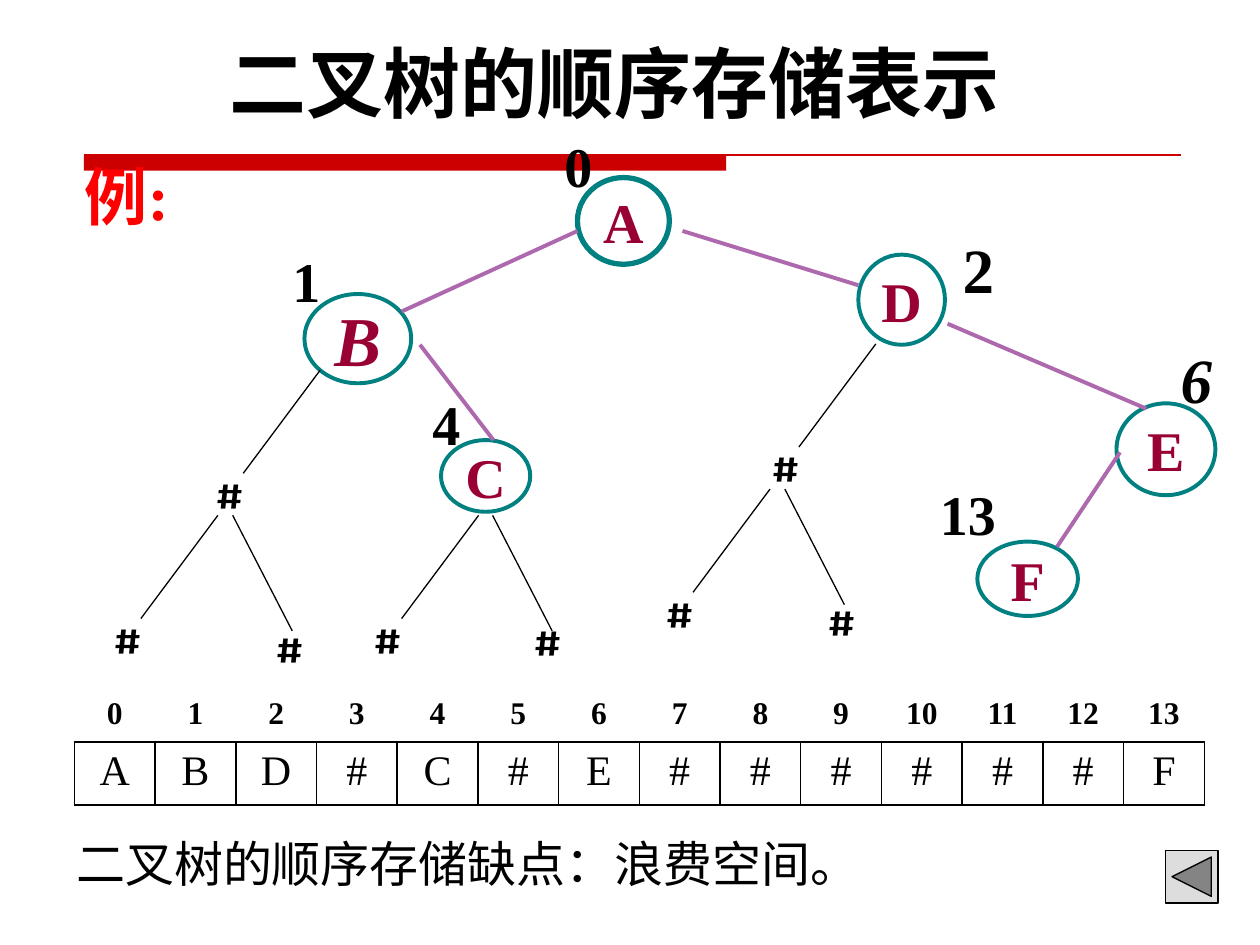
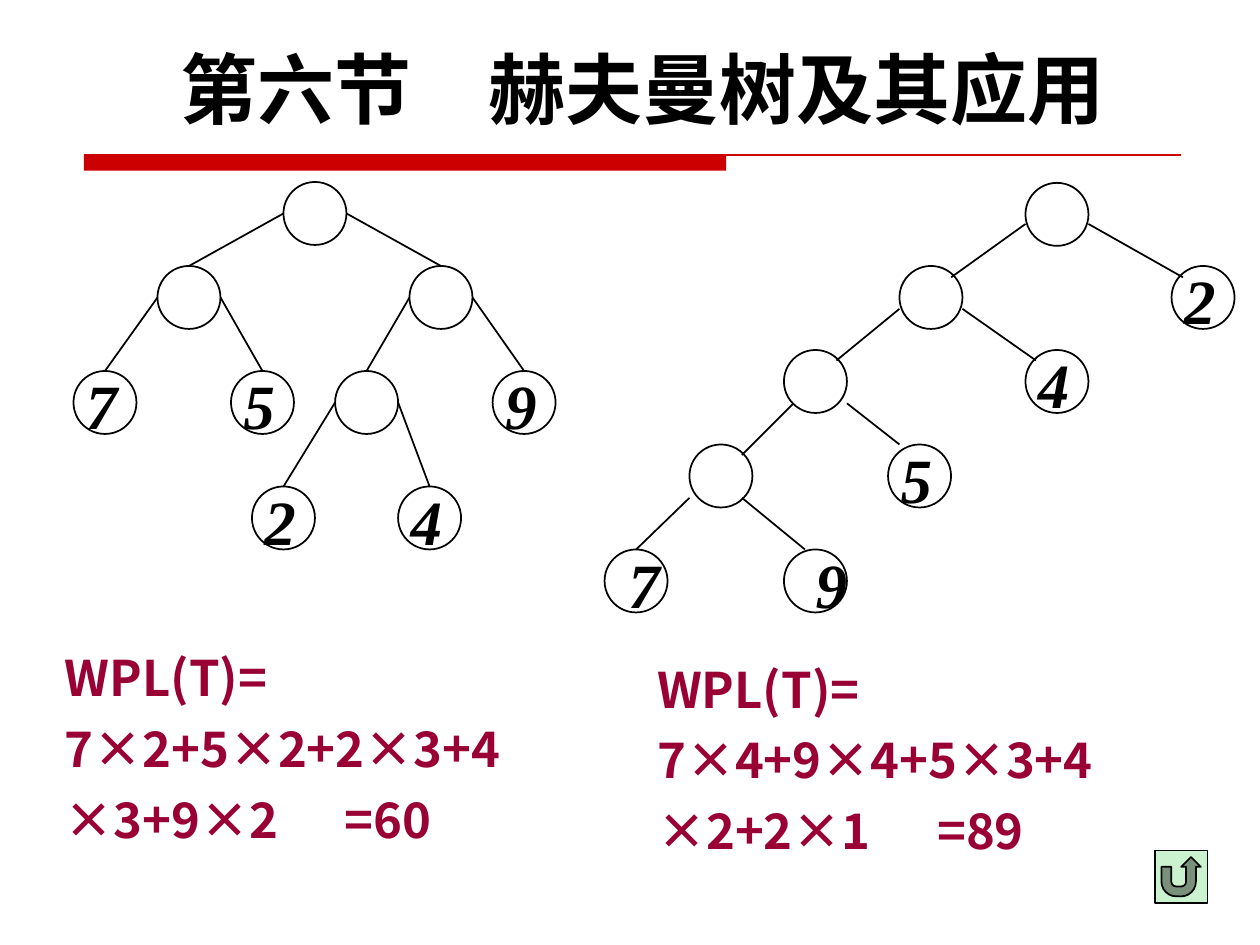
"""Build two slides on binary tree storage and Huffman trees."""
import dataclasses
import typing

import pptx
import pptx.dml.color
import pptx.enum.shapes
import pptx.enum.text
import pptx.oxml.ns
import pptx.slide
import pptx.table
import pptx.text.text
import pptx.util
from lxml import etree

Pt = pptx.util.Pt
Shape = pptx.enum.shapes.MSO_SHAPE
Align = pptx.enum.text.PP_ALIGN
Anchor = pptx.enum.text.MSO_ANCHOR
qn = pptx.oxml.ns.qn

BLACK, WHITE, RED, BAND = "000000", "FFFFFF", "FF0000", "CC0000"
TEAL, PURPLE, CRIMSON = "008080", "AE68AE", "990033"
SERIF, TITLE_FONT, CHINESE = "Times New Roman", "Karla", "Noto Sans CJK SC"


@dataclasses.dataclass(frozen=True)
class Style:
    size: float
    font: str = SERIF
    ink: str = BLACK
    bold: bool = True
    italic: bool = False
    align: Align = Align.LEFT
    spacing: float = 1.0
    tab: float = 0


class Box(typing.NamedTuple):
    left: float
    top: float
    width: float
    height: float


class Label(typing.NamedTuple):
    text: str
    box: Box
    style: Style


class TreeNode(typing.NamedTuple):
    letter: str
    box: Box
    size: float = 32
    outline: float = 2.25
    italic: bool = False


class Weight(typing.NamedTuple):
    left: float
    top: float
    value: str = ""
    shift: float = 0


class Edge(typing.NamedTuple):
    x1: float
    y1: float
    x2: float
    y2: float


INDEX = Style(32)
LARGE_INDEX = Style(36)
LEAF_VALUE = Style(36, italic=True)
EMPTY = Style(24, TITLE_FONT)
FORMULA = Style(28, CHINESE, CRIMSON, spacing=1.2, tab=160)
TITLE = Style(44, TITLE_FONT, align=Align.CENTER)

NODES = [
    TreeNode("A", Box(330, 101.5, 52.5, 49.5), outline=3),
    TreeNode("B", Box(174, 168, 61, 51), size=40, italic=True),
    TreeNode("C", Box(252, 251.5, 51, 41)),
    TreeNode("D", Box(490.5, 145.5, 49.5, 51.5)),
    TreeNode("E", Box(638, 230.5, 56.5, 52.5)),
    TreeNode("F", Box(558.5, 309.5, 57.5, 42.5)),
]
INDEXES = [
    Label("0", Box(315.5, 71.5, 31, 46), INDEX),
    Label("1", Box(160, 137.5, 31, 46), INDEX),
    Label("4", Box(240, 219, 31, 46), INDEX),
    Label("13", Box(530, 270.5, 47, 46), INDEX),
    Label("2", Box(543, 128, 32, 50), LARGE_INDEX),
    Label("6", Box(667.5, 191, 32, 50), LEAF_VALUE),
]
TREE_EDGES = [
    Edge(330, 132, 229.5, 178), Edge(240, 197, 282, 251.5),
    Edge(390, 132, 490.5, 163), Edge(541.5, 185, 655, 233.5),
    Edge(640, 258.5, 604, 312.5),
]
LEFT_BRANCHES = [(183, 211.5), (500.5, 196.5), (124.5, 294.5), (440, 279.5), (273.5, 294.5)]
RIGHT_BRANCHES = [(133, 294.5), (448.5, 279.5), (281.5, 294.5)]
EMPTY_NODES = [
    (116, 264), (433.5, 249), (58, 347), (150.5, 352),
    (373, 332), (466, 337), (206.5, 347), (297.5, 348),
]
STORAGE = "ABD#C#E######F"

OPTIMAL_TREE = [
    Weight(162, 104), Weight(90, 152), Weight(234, 152),
    Weight(42, 212, "7"), Weight(132, 212, "5"), Weight(191.5, 212),
    Weight(281.5, 212, "9"), Weight(144, 278, "2"), Weight(227.5, 278, "4"),
]
OPTIMAL_CHILDREN = {0: (1, 2), 1: (3, 4), 2: (5, 6), 5: (7, 8)}
SKEWED_TREE = [
    Weight(586, 104.5), Weight(514, 152), Weight(669.5, 152, "2"),
    Weight(448, 200), Weight(586, 200, "4"), Weight(394, 254),
    Weight(507.5, 254, "5"), Weight(345.5, 314, "7", 6.5), Weight(448, 314, "9", 11),
]
SKEWED_EDGES = [
    Edge(622, 128, 676, 158.5), Edge(586, 128, 543.5, 158.5),
    Edge(550, 176.5, 592, 206), Edge(514, 176.5, 478, 206),
    Edge(484, 230.5, 514, 254), Edge(453.5, 230.5, 424, 260),
    Edge(394, 284.5, 363.5, 314), Edge(424, 284.5, 460, 314),
]
DIAMETER = 36


def color(value: str) -> pptx.dml.color.RGBColor:
    """Turn a hex string into a colour."""
    return pptx.dml.color.RGBColor.from_string(value)


def points(values: typing.Iterable[float]) -> list[pptx.util.Length]:
    """Turn numbers into lengths in points."""
    return [Pt(value) for value in values]


def write(para: pptx.text.text._Paragraph, text: str, style: Style) -> None:
    """Fill a paragraph with styled text."""
    para.text = text
    para.alignment = style.align
    para.line_spacing = style.spacing
    para.space_before = Pt(0)
    properties = para._p.get_or_add_pPr()
    if style.tab:
        stops = etree.SubElement(properties, qn("a:tabLst"))
        etree.SubElement(stops, qn("a:tab"), pos=str(Pt(style.tab)), algn="l")
    font = para.font
    font.size, font.bold, font.italic = Pt(style.size), style.bold, style.italic
    font.name = style.font
    font.color.rgb = color(style.ink)
    etree.SubElement(properties.find(qn("a:defRPr")), qn("a:ea"), typeface=CHINESE)


def add_label(page: pptx.slide.Slide, label: Label, wrap: bool = False) -> None:
    """Place a text box."""
    frame = page.shapes.add_textbox(*points(label.box)).text_frame
    frame.word_wrap = wrap
    write(frame.paragraphs[0], label.text, label.style)


def add_shape(page: pptx.slide.Slide, kind: Shape, box: Box, fill: str = "",
              outline: str = "", width: float = 1):
    """Place a preset shape with an optional fill and outline."""
    shape = page.shapes.add_shape(kind, *points(box))
    shape.shadow.inherit = False
    if fill:
        shape.fill.solid()
        shape.fill.fore_color.rgb = color(fill)
    else:
        shape.fill.background()
    if outline:
        shape.line.color.rgb = color(outline)
        shape.line.width = Pt(width)
    else:
        shape.line.fill.background()
    return shape


def add_edge(page: pptx.slide.Slide, edge: Edge, ink: str = BLACK, width: float = 1):
    """Draw a straight line."""
    straight = pptx.enum.shapes.MSO_CONNECTOR.STRAIGHT
    line = page.shapes.add_connector(straight, *points(edge))
    line.line.color.rgb = color(ink)
    line.line.width = Pt(width)
    etree.SubElement(line.element.spPr, qn("a:effectLst"))
    return line


def add_band(page: pptx.slide.Slide) -> None:
    """Draw the title band and hand it to the layout of the page."""
    band = add_shape(page, Shape.RECTANGLE, Box(48, 88.5, 367, 9), BAND)
    rule = add_edge(page, Edge(48, 88.5, 675, 88.5), BAND, 0.75)
    for part in (band, rule):
        page.slide_layout.shapes.element.append(part.element)


def set_title(page: pptx.slide.Slide, text: str, box: Box, style: Style = TITLE) -> None:
    """Move and format the title placeholder."""
    title = page.shapes.title
    title.left, title.top, title.width, title.height = points(box)
    frame = title.text_frame
    frame.auto_size = pptx.enum.text.MSO_AUTO_SIZE.NONE
    frame.vertical_anchor = Anchor.TOP
    write(frame.paragraphs[0], text, style)


def add_node(page: pptx.slide.Slide, node: TreeNode) -> None:
    """Draw a lettered tree node."""
    frame = add_shape(page, Shape.OVAL, node.box, WHITE, TEAL, node.outline).text_frame
    frame.word_wrap = False
    frame.vertical_anchor = Anchor.MIDDLE
    style = Style(node.size, ink=CRIMSON, italic=node.italic, align=Align.CENTER)
    write(frame.paragraphs[0], node.letter, style)


def add_weights(page: pptx.slide.Slide, weights: list[Weight]) -> None:
    """Draw the circles of a weighted tree and their values."""
    for weight in weights:
        circle = Box(weight.left, weight.top, DIAMETER, DIAMETER)
        add_shape(page, Shape.OVAL, circle, outline=BLACK)
        if weight.value:
            box = Box(weight.left + weight.shift, weight.top - 6, 32, 50)
            add_label(page, Label(weight.value, box, LEAF_VALUE))


def format_cell(cell: pptx.table._Cell, text: str, style: Style, sides: str) -> None:
    """Write a cell and rule the given sides."""
    for side in sides:
        line = etree.SubElement(cell._tc.get_or_add_tcPr(), qn(f"a:ln{side}"), w=str(Pt(1)))
        fill = etree.SubElement(line, qn("a:solidFill"))
        etree.SubElement(fill, qn("a:srgbClr"), val=BLACK)
    cell.fill.solid()
    cell.fill.fore_color.rgb = color(WHITE)
    write(cell.text_frame.paragraphs[0], text, style)


def add_storage(page: pptx.slide.Slide) -> None:
    """Add the table of array indexes and stored letters."""
    count = len(STORAGE)
    table = page.shapes.add_table(2, count, *points(Box(42.5, 394.5, 646, 65.5))).table
    table.first_row = table.horz_banding = False
    table.rows[0].height, table.rows[1].height = points((29.5, 36))
    index_style = Style(18, align=Align.CENTER)
    letter_style = Style(24, bold=False, align=Align.CENTER)
    for column, letter in enumerate(STORAGE):
        table.columns[column].width = Pt(646 / count)
        format_cell(table.cell(0, column), str(column), index_style, "B")
        format_cell(table.cell(1, column), letter, letter_style, "LRTB")


def build_storage_slide(page: pptx.slide.Slide) -> None:
    """Show the sequential storage of a binary tree."""
    set_title(page, "二叉树的顺序存储表示", Box(121.5, 16.5, 460, 60.5))
    add_label(page, Label("例:", Box(41.5, 86.5, 63.5, 51), Style(36, ink=RED)))
    for node in NODES:
        add_node(page, node)
    for edge in TREE_EDGES:
        add_edge(page, edge, PURPLE, 2.25)
    for label in INDEXES:
        add_label(page, label)
    for starts, run, drop in ((LEFT_BRANCHES, -44, 59), (RIGHT_BRANCHES, 34, 66)):
        for x, y in starts:
            add_edge(page, Edge(x, y, x + run, y + drop), width=0.75)
    for left, top in EMPTY_NODES:
        add_label(page, Label("#", Box(left, top, 51, 36.5), EMPTY), wrap=True)
    add_storage(page)
    note = Style(28, CHINESE, bold=False)
    add_label(page, Label("二叉树的顺序存储缺点：浪费空间。", Box(36.5, 472.5, 466.5, 41), note))
    button = Box(666, 486, 30, 30)
    add_shape(page, Shape.ACTION_BUTTON_BACK_OR_PREVIOUS, button, "DDDDDD", BLACK, 0.75)


def build_huffman_slide(page: pptx.slide.Slide) -> None:
    """Compare the weighted path lengths of two trees."""
    title_style = dataclasses.replace(TITLE, spacing=0.9)
    set_title(page, "第六节　赫夫曼树及其应用", Box(34.5, 26, 666, 55.5), title_style)
    add_weights(page, OPTIMAL_TREE)
    for index, children in OPTIMAL_CHILDREN.items():
        parent = OPTIMAL_TREE[index]
        for side, child in zip((0, DIAMETER), children):
            leaf = OPTIMAL_TREE[child]
            add_edge(page, Edge(parent.left + side, parent.top + DIAMETER / 2,
                                leaf.left + DIAMETER / 2, leaf.top))
    add_weights(page, SKEWED_TREE)
    for edge in SKEWED_EDGES:
        add_edge(page, edge)
    for text, box in (
        ("WPL(T)= 7×2+5×2+2×3+4×3+9×2\t=60", Box(30, 360, 274.5, 125.5)),
        ("WPL(T)= 7×4+9×4+5×3+4×2+2×1\t=89", Box(368.5, 366.5, 282, 124)),
    ):
        add_label(page, Label(text, box, FORMULA), wrap=True)
    add_shape(page, Shape.ACTION_BUTTON_RETURN, Box(660, 486, 30, 30), "CAF2CE", BLACK)


def main() -> None:
    """Build and save the deck."""
    deck = pptx.Presentation()
    deck.slide_width, deck.slide_height = points((720, 540))
    layout = deck.slide_layouts.get_by_name("Title Only")
    pages = [deck.slides.add_slide(layout) for _ in range(2)]
    add_band(pages[0])
    build_storage_slide(pages[0])
    build_huffman_slide(pages[1])
    deck.save("out.pptx")


if __name__ == "__main__":
    main()
